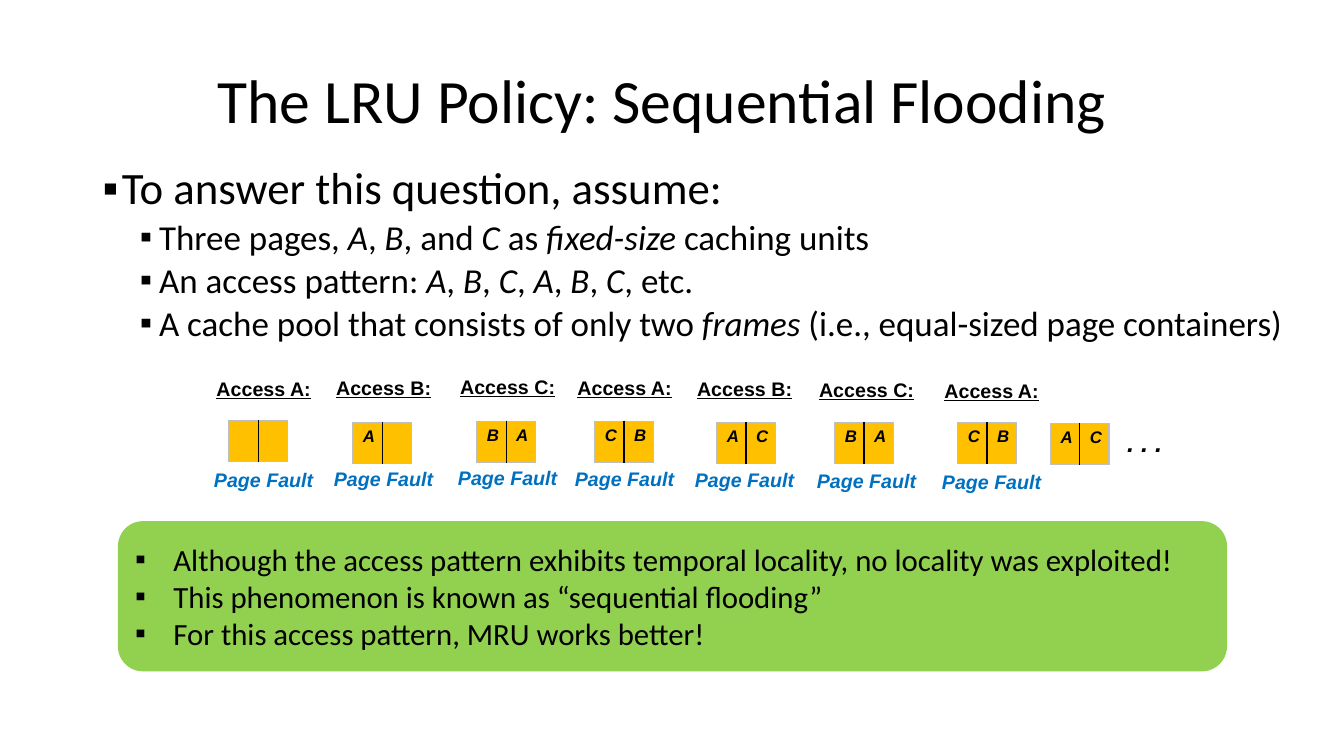
from lxml import etree
from pptx import Presentation
from pptx.dml.color import RGBColor
from pptx.enum.shapes import MSO_SHAPE
from pptx.enum.text import MSO_ANCHOR, PP_ALIGN
from pptx.oxml.ns import qn
from pptx.util import Inches, Pt

ROUNDED = MSO_SHAPE.ROUNDED_RECTANGLE
TOP, MIDDLE = MSO_ANCHOR.TOP, MSO_ANCHOR.MIDDLE
LEFT, CENTER = PP_ALIGN.LEFT, PP_ALIGN.CENTER
BLACK = RGBColor(0x00, 0x00, 0x00)
BLUE = RGBColor(0x00, 0x70, 0xC0)
AMBER = RGBColor(0xFF, 0xC0, 0x00)
GREEN = RGBColor(0x92, 0xD0, 0x50)
GREY = RGBColor(0xBF, 0xBF, 0xBF)

TITLE = "The LRU Policy: Sequential Flooding"
QUESTION = "To answer this question, assume:"
# Asterisks enclose italic words.
ASSUMPTIONS = [
    "Three pages, *A*, *B*, and *C* as *fixed-size* caching units",
    "An access pattern: *A*, *B*, *C*, *A*, *B*, *C*, etc.",
    "A cache pool that consists of only two *frames* (i.e., equal-sized page containers)",
]
# Page accessed, left and top of its label
ACCESSES = [
    ("A", 2.02, 3.69), ("B", 3.21, 3.68), ("C", 4.44, 3.67), ("A", 5.6, 3.68),
    ("B", 6.79, 3.69), ("C", 8.0, 3.7), ("A", 9.24, 3.71),
]
# Pages held in the two frames, left and top of the pool
POOLS = [
    (("", ""), 2.27, 4.17), (("A", ""), 3.5, 4.19), (("B", "A"), 4.73, 4.18),
    (("C", "B"), 5.9, 4.18), (("A", "C"), 7.11, 4.19), (("B", "A"), 8.28, 4.19),
    (("C", "B"), 9.5, 4.19), (("A", "C"), 10.42, 4.2),
]
FINDINGS = [
    "Although the access pattern exhibits temporal locality, no locality was exploited!",
    "This phenomenon is known as “sequential flooding”",
    "For this access pattern, MRU works better!",
]
FRAME_W, FRAME_H = 0.29, 0.41
LABEL_W, LABEL_H = 1.19, 1.28

prs = Presentation()
prs.slide_width, prs.slide_height = Inches(13.33), Inches(7.5)
slide = prs.slides.add_slide(prs.slide_layouts[6])


def write(frame, text, size, font="Calibri", color=BLACK, bold=False, italic=False,
          underline=False, align=LEFT, line=None, before=0, indent=None, hang=0):
    """Add a paragraph, using the empty first one if there is one."""
    para = frame.paragraphs[0]
    if para.runs:
        para = frame.add_paragraph()
    para.alignment = align
    para.space_before = Pt(before)
    if line:
        para.line_spacing = line
    if indent is not None:
        props = para._p.get_or_add_pPr()
        props.set("marL", str(Inches(indent)))
        props.set("indent", str(-Inches(hang)))
        etree.SubElement(props, qn("a:buFont")).set("typeface", "Arial")
        etree.SubElement(props, qn("a:buChar")).set("char", "▪")
    for i, part in enumerate(text.split("*")):
        if part:
            run = para.add_run()
            run.text = part
            run.font.name, run.font.size = font, Pt(size)
            run.font.bold, run.font.underline = bold, underline
            run.font.italic = italic or i % 2 == 1
            run.font.color.rgb = color


def add_text_box(left, top, width, height, anchor=TOP, wrap=True):
    frame = slide.shapes.add_textbox(
        Inches(left), Inches(top), Inches(width), Inches(height)).text_frame
    frame.word_wrap, frame.vertical_anchor = wrap, anchor
    return frame


def set_borders(cell, **colors):
    props = cell._tc.get_or_add_tcPr()
    for place, side in enumerate(("L", "R", "T", "B")):
        border = etree.Element(qn(f"a:ln{side}"), w=str(Pt(1)))
        fill = etree.SubElement(border, qn("a:solidFill"))
        etree.SubElement(fill, qn("a:srgbClr")).set("val", str(colors.get(side, GREY)))
        props.insert(place, border)


def add_pool(pages, left, top):
    table = slide.shapes.add_table(
        1, len(pages), Inches(left), Inches(top),
        Inches(FRAME_W * len(pages)), Inches(FRAME_H)).table
    table.first_row = table.horz_banding = False
    for col, (page, inner_side) in enumerate(zip(pages, "RL")):
        table.columns[col].width = Inches(FRAME_W)
        cell = table.cell(0, col)
        cell.margin_right = 0
        cell.fill.solid()
        cell.fill.fore_color.rgb = AMBER
        set_borders(cell, **{inner_side: BLACK})
        if page:
            write(cell.text_frame, page, 12, font="Arial", bold=True, italic=True)


write(add_text_box(0.92, 0.3, 11.3, 1.45, anchor=MIDDLE), TITLE, 44, align=CENTER, line=0.9)

body = add_text_box(0.92, 1.6, 12, 2.05)
write(body, QUESTION, 32, line=0.9, before=7.5, indent=0.19, hang=0.19)
for assumption in ASSUMPTIONS:
    write(body, assumption, 25, line=0.9, before=3.8, indent=0.56, hang=0.19)

for pool in POOLS:
    add_pool(*pool)

for page, left, top in ACCESSES:
    label = add_text_box(left, top, LABEL_W, LABEL_H, wrap=False)
    write(label, f"Access {page}:", 14, font="Arial", bold=True, underline=True, align=CENTER)
    write(label, "Page Fault", 14, font="Arial", color=BLUE, bold=True, italic=True,
          align=CENTER, before=48.3)

write(add_text_box(11.08, 4.19, 0.55, 0.4, wrap=False), ". . .", 18,
      font="Arial", bold=True, italic=True)

conclusion = slide.shapes.add_shape(ROUNDED, Inches(1.17), Inches(5.17), Inches(11), Inches(1.49))
conclusion.shadow.inherit = False
conclusion.fill.solid()
conclusion.fill.fore_color.rgb = GREEN
conclusion.line.fill.background()
conclusion.text_frame.word_wrap = True
conclusion.text_frame.vertical_anchor = MIDDLE
for finding in FINDINGS:
    write(conclusion.text_frame, finding, 22, indent=0.38, hang=0.38)

prs.save("out.pptx")
